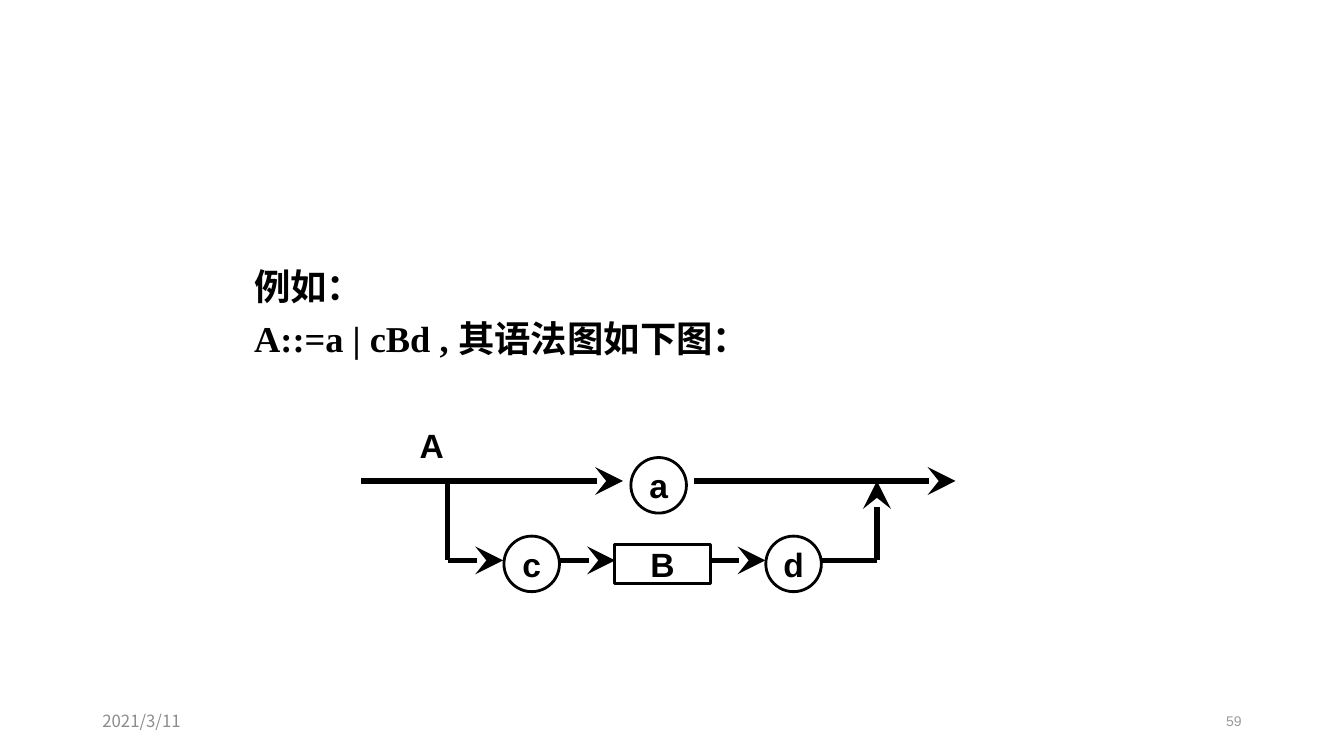
import pptx
import pptx.dml.color
import pptx.enum.shapes
import pptx.enum.text
import pptx.oxml.ns
import pptx.util
from lxml import etree

Cm, Pt, qn = pptx.util.Cm, pptx.util.Pt, pptx.oxml.ns.qn
SHAPES = pptx.enum.shapes.MSO_SHAPE
ALIGN = pptx.enum.text.PP_ALIGN
MIDDLE = pptx.enum.text.MSO_ANCHOR.MIDDLE


def rgb(hex_string):
    return pptx.dml.color.RGBColor.from_string(hex_string)


class SyntaxSlide:
    ink = "000000"
    label_font = "Arial"
    body_font = "Times New Roman"
    chinese_font = "Noto Sans CJK SC"

    def __init__(self, presentation):
        self.slide = presentation.slides.add_slide(presentation.slide_layouts[1])
        title = self.slide.shapes.title
        title.element.getparent().remove(title.element)

    def format_runs(self, paragraph, size, font, color, bold=False):
        for run in paragraph.runs:
            run.font.size = Pt(size)
            run.font.name = font
            run.font.bold = bold
            run.font.color.rgb = rgb(color)
            east_asian = etree.Element(qn("a:ea"), typeface=self.chinese_font)
            run.font._element.find(qn("a:latin")).addnext(east_asian)

    def body(self, lines, left, top, width, height):
        placeholder = self.slide.placeholders[1]
        placeholder.left, placeholder.top = Cm(left), Cm(top)
        placeholder.width, placeholder.height = Cm(width), Cm(height)
        frame = placeholder.text_frame
        frame.auto_size = pptx.enum.text.MSO_AUTO_SIZE.NONE
        frame.text = "\n".join(lines)
        for paragraph in frame.paragraphs:
            properties = paragraph._p.get_or_add_pPr()
            properties.set("marL", str(Cm(1.17)))
            properties.set("indent", str(-Cm(1.07)))
            etree.SubElement(properties, qn("a:buNone"))
            paragraph.space_before = Pt(0)
            paragraph.line_spacing = Pt(36.5)
            self.format_runs(paragraph, 26, self.body_font, self.ink, bold=True)

    def text(self, text, left, top, width, height, size, font, color,
             align=ALIGN.LEFT, bold=False):
        box = self.slide.shapes.add_textbox(Cm(left), Cm(top), Cm(width), Cm(height))
        frame = box.text_frame
        frame.text = text
        frame.word_wrap = True
        frame.vertical_anchor = MIDDLE
        frame.paragraphs[0].alignment = align
        self.format_runs(frame.paragraphs[0], size, font, color, bold)

    def symbol(self, kind, text, left, top, width, height):
        shape = self.slide.shapes.add_shape(kind, Cm(left), Cm(top), Cm(width), Cm(height))
        shape.shadow.inherit = False
        shape.fill.background()
        shape.line.color.rgb = rgb(self.ink)
        shape.line.width = Pt(2)
        frame = shape.text_frame
        frame.text = text
        frame.word_wrap = False
        frame.vertical_anchor = MIDDLE
        frame.paragraphs[0].alignment = ALIGN.CENTER
        self.format_runs(frame.paragraphs[0], 24, self.label_font, self.ink, bold=True)

    def line(self, start_x, start_y, end_x, end_y, arrow=True):
        connector = self.slide.shapes.add_connector(
            pptx.enum.shapes.MSO_CONNECTOR.STRAIGHT,
            Cm(start_x), Cm(start_y), Cm(end_x), Cm(end_y))
        connector.line.color.rgb = rgb(self.ink)
        connector.line.width = Pt(4)
        if arrow:
            etree.SubElement(connector.line._get_or_add_ln(), qn("a:tailEnd"),
                             type="stealth", w="lg", len="lg")
        etree.SubElement(connector._element.spPr, qn("a:effectLst"))


def main():
    presentation = pptx.Presentation()
    presentation.slide_width, presentation.slide_height = Cm(33.87), Cm(19.05)
    page = SyntaxSlide(presentation)

    page.text("2021/3/11", 2.33, 17.66, 7.62, 1.01, 12, page.chinese_font, "8C8C8C")
    page.text("59", 23.92, 17.66, 7.62, 1.01, 10, page.label_font, "9B9A98", ALIGN.RIGHT)
    page.body(["例如：", "A::=a | cBd , 其语法图如下图："], 6.05, 6.35, 21.51, 5.16)
    page.text("A", 10.08, 10.72, 1.6, 0.99, 24, page.label_font, page.ink,
              ALIGN.CENTER, bold=True)

    upper, lower = 12.12, 14.12
    fork, join = 11.28, 22.1
    step = 1.4  # circle diameter and length of each lower line
    circles = [("a", 15.9, 11.53), ("c", 12.7, 13.51), ("d", 19.3, 13.51)]
    for name, left, top in circles:
        page.symbol(SHAPES.OVAL, name, left, top, step, step)
    page.symbol(SHAPES.RECTANGLE, "B", 15.49, 13.72, 2.41, 0.99)

    for start, end in [(9.1, 15.7), (17.5, 24.08)]:
        page.line(start, upper, end, upper)
    for start in (fork, 14.1, 17.89):
        page.line(start, lower, start + step, lower)
    page.line(join - step, lower, join, lower, arrow=False)
    page.line(fork, upper, fork, lower, arrow=False)
    page.line(join, lower, join, upper)

    presentation.save("out.pptx")


if __name__ == "__main__":
    main()
